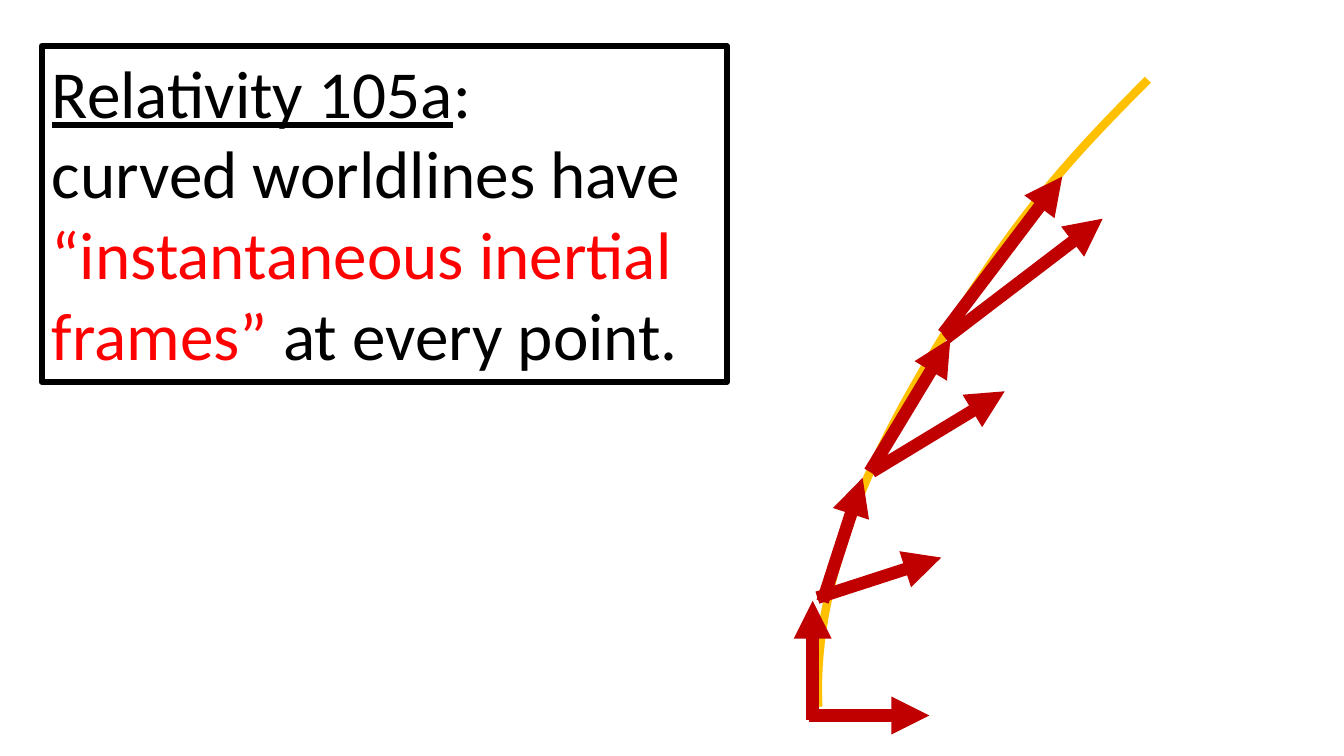
from dataclasses import dataclass

from lxml import etree
from pptx import Presentation
from pptx.dml.color import RGBColor
from pptx.enum.shapes import MSO_CONNECTOR
from pptx.enum.text import MSO_ANCHOR, MSO_AUTO_SIZE, PP_ALIGN
from pptx.oxml.ns import qn
from pptx.util import Cm, Pt

STRAIGHT = MSO_CONNECTOR.STRAIGHT
TOP = MSO_ANCHOR.TOP
LEFT = PP_ALIGN.LEFT
FIXED = MSO_AUTO_SIZE.NONE


@dataclass(frozen=True)
class Theme:
    font: str = "Calibri"
    size: int = 48
    ink: str = "000000"
    key: str = "FF0000"
    curve: str = "FFC000"
    axis: str = "C00000"
    frame_pt: float = 4.5
    curve_pt: float = 6
    axis_pt: float = 9


THEME = Theme()

# Text, colour, underline; None marks a line break
TITLE = [
    ("Relativity 105a", THEME.ink, True),
    (":", THEME.ink, False),
    None,
    ("curved worldlines have ", THEME.ink, False),
    ("“instantaneous inertial frames” ", THEME.key, False),
    ("at every point.", THEME.ink, False),
]
BOX = (1.05, 1.16, 17.27, 8.46)

# Bezier knots of the worldline in cm: each span shares its end with the next
KNOTS = [
    (28.93, 2.01), (27.64, 3.3), (26.37, 4.62),
    (25.15, 6.38), (23.95, 8.1), (22.45, 10.54),
    (21.69, 12.45), (20.96, 14.35), (20.55, 15.95),
    (20.62, 17.81),
]
STEPS = 16

# Each frame: space axis and time axis, as (start, tip) in cm
FRAMES = [
    [((20.4, 18.03), (23.42, 18.03)), ((20.48, 18.14), (20.48, 15.14))],
    [((20.6, 15.06), (23.72, 14.05)), ((20.73, 15.16), (21.74, 12.04))],
    [((21.97, 11.89), (25.32, 9.86)), ((21.92, 11.89), (23.95, 8.53))],
    [((23.83, 8.53), (27.79, 5.51)), ((23.77, 8.41), (26.77, 4.45))],
]


def paint(line, color, width):
    line.color.rgb = RGBColor.from_string(color)
    line.width = Pt(width)


def bezier(span, t):
    """Return the point at t (0 to 1) on a cubic span of four knots."""
    u = 1 - t
    parts = (u ** 3, 3 * u * u * t, 3 * u * t * t, t ** 3)
    return tuple(Cm(sum(w * p[i] for w, p in zip(parts, span))) for i in (0, 1))


def add_title(slide):
    box = slide.shapes.title
    box.left, box.top, box.width, box.height = map(Cm, BOX)
    paint(box.line, THEME.ink, THEME.frame_pt)
    frame = box.text_frame
    frame.word_wrap = True
    frame.auto_size = FIXED
    frame.vertical_anchor = TOP
    para = frame.paragraphs[0]
    para.alignment = LEFT
    para.line_spacing = 1.0
    for part in TITLE:
        if part is None:
            para.add_line_break()
            continue
        text, color, under = part
        run = para.add_run()
        run.text = text
        font = run.font
        font.name, font.size = THEME.font, Pt(THEME.size)
        font.underline = under
        font.color.rgb = RGBColor.from_string(color)


def add_curve(slide):
    spans = [KNOTS[i:i + 4] for i in range(0, len(KNOTS) - 1, 3)]
    points = [bezier(s, n / STEPS) for s in spans for n in range(1, STEPS + 1)]
    start = bezier(spans[0], 0)
    pen = slide.shapes.build_freeform(*start)
    pen.add_line_segments(points, close=False)
    curve = pen.convert_to_shape()
    curve.shadow.inherit = False
    curve.fill.background()
    paint(curve.line, THEME.curve, THEME.curve_pt)


def add_arrow(slide, start, tip):
    arrow = slide.shapes.add_connector(STRAIGHT, *map(Cm, start + tip))
    paint(arrow.line, THEME.axis, THEME.axis_pt)
    props = arrow.element.spPr
    etree.SubElement(props.find(qn("a:ln")), qn("a:tailEnd"), type="triangle")
    etree.SubElement(props, qn("a:effectLst"))


def main():
    deck = Presentation()
    deck.slide_width, deck.slide_height = Cm(33.87), Cm(19.05)
    slide = deck.slides.add_slide(deck.slide_layouts.get_by_name("Title Only"))
    add_title(slide)
    add_curve(slide)
    for axes in FRAMES:
        for start, tip in axes:
            add_arrow(slide, start, tip)
    deck.save("out.pptx")


if __name__ == "__main__":
    main()
